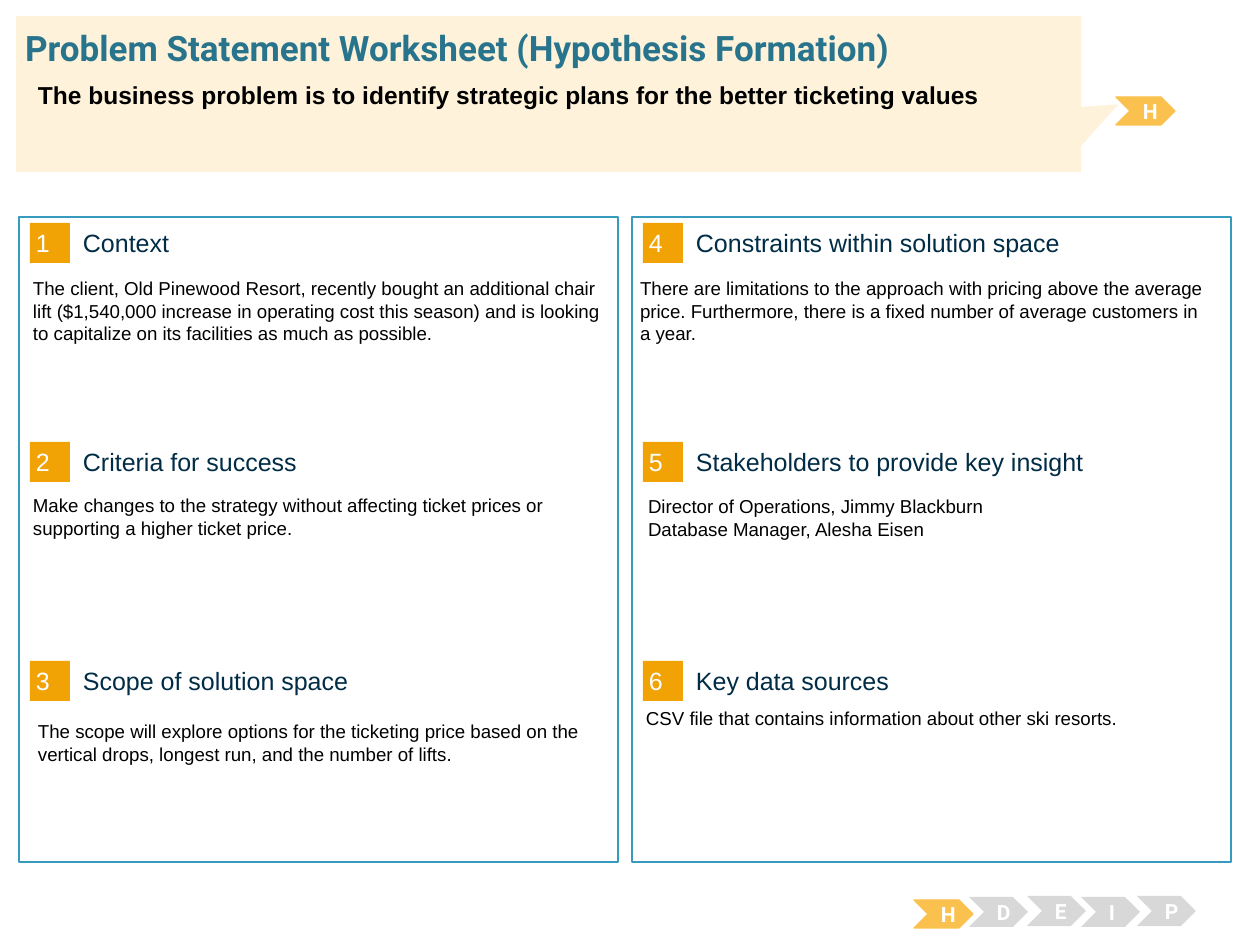
from pptx import Presentation
from pptx.dml.color import RGBColor
from pptx.enum.shapes import MSO_SHAPE as Shape
from pptx.enum.text import MSO_ANCHOR as Anchor, PP_ALIGN as Align
from pptx.util import Emu, Pt

SCALE = 914400 / 126
COLORS = {
    "white": "FFFFFF", "black": "000000", "frame": "379BBD",
    "badge": "F1A205", "heading": "002C46", "active": "FBC14E",
    "inactive": "D8D8D8", "callout": "FEF2DA", "title": "29748D",
}


def add_block(kind, area, fill=None, line=None, weight=1):
    left, top, width, height = [Emu(round(value * SCALE)) for value in area]
    if kind is None:
        return slide.shapes.add_textbox(left, top, width, height)
    block = slide.shapes.add_shape(kind, left, top, width, height)
    block.shadow.inherit = False
    block.fill.solid()
    block.fill.fore_color.rgb = RGBColor.from_string(COLORS[fill])
    if line:
        block.line.color.rgb = RGBColor.from_string(COLORS[line])
        block.line.width = Pt(weight)
    else:
        block.line.fill.background()
    return block


def write(block, text, size, color, font="Arial", bold=False,
          anchor=Anchor.TOP, align=Align.LEFT, insets=(13, 6)):
    frame = block.text_frame
    frame.word_wrap = True
    frame.vertical_anchor = anchor
    frame.margin_left = frame.margin_right = Emu(round(insets[0] * SCALE))
    frame.margin_top = frame.margin_bottom = Emu(round(insets[1] * SCALE))
    frame.text = text
    for para in frame.paragraphs:
        para.alignment = align
        para.font.name = font
        para.font.size = Pt(size)
        para.font.bold = bold
        para.font.color.rgb = RGBColor.from_string(COLORS[color])


deck = Presentation()
deck.slide_width = Emu(round(1260 * SCALE))
deck.slide_height = Emu(round(945 * SCALE))
slide = deck.slides.add_slide(deck.slide_layouts[5])

COLUMN_STEP, ROW_STEP = 613, 219
for column in range(2):
    add_block(Shape.RECTANGLE, (19 + column * COLUMN_STEP, 217, 599, 645),
              "white", "frame", 1.5)

sections = [
    ("Context", (20, 271),
     "The client, Old Pinewood Resort, recently bought an additional chair lift "
     "($1,540,000 increase in operating cost this season) and is looking to "
     "capitalize on its facilities as much as possible."),
    ("Criteria for success", (20, 488),
     "Make changes to the strategy without affecting ticket prices or "
     "supporting a higher ticket price."),
    ("Scope of solution space", (25, 714),
     "The scope will explore options for the ticketing price based on the "
     "vertical drops, longest run, and the number of lifts."),
    ("Constraints within solution space", (627, 271),
     "There are limitations to the approach with pricing above the average "
     "price. Furthermore, there is a fixed number of average customers in a year."),
    ("Stakeholders to provide key insight", (635, 489),
     "Director of Operations, Jimmy Blackburn\nDatabase Manager, Alesha Eisen"),
    ("Key data sources", (633, 701),
     "CSV file that contains information about other ski resorts."),
]
for index, (heading, (body_left, body_top), body) in enumerate(sections):
    column, row = divmod(index, 3)
    left, top = 30 + column * COLUMN_STEP, 223 + row * ROW_STEP
    badge = add_block(Shape.RECTANGLE, (left, top, 40, 40), "badge")
    write(badge, str(index + 1), 14.3, "white", anchor=Anchor.MIDDLE, insets=(6, 6))
    heading_box = add_block(None, (left + 53, top + 4, 495, 31))
    write(heading_box, heading, 14.3, "heading", anchor=Anchor.MIDDLE, insets=(0, 0))
    body_box = add_block(None, (body_left, body_top, 596, 146))
    write(body_box, body, 10.7, "black")

chevrons = [
    ("H", 914, 900, True), ("D", 969, 897, False), ("E", 1027, 896, False),
    ("I", 1081, 897, False), ("P", 1137, 896, False), ("H", 1116, 97, True),
]
for letter, left, top, active in chevrons:
    if active:
        chevron = add_block(Shape.CHEVRON, (left, top, 59, 28), "active", "active", 0.75)
    else:
        chevron = add_block(Shape.CHEVRON, (left, top, 59, 30), "inactive")
    write(chevron, letter, 12, "white", "Roboto", True, Anchor.MIDDLE, Align.CENTER)

callout = add_block(Shape.RECTANGULAR_CALLOUT, (16, 16, 1065, 156), "callout")
callout.adjustments[0] = 0.535
callout.adjustments[1] = 0.066

title = slide.shapes.title
title.left, title.top, title.width, title.height = [
    Emu(round(value * SCALE)) for value in (25, 26, 1212, 43)]
write(title, "Problem Statement Worksheet (Hypothesis Formation)", 20, "title",
      "Roboto", True, Anchor.MIDDLE, insets=(0, 0))
slide.shapes.element.append(title.element)

problem = add_block(None, (25, 74, 1183, 68))
write(problem, "The business problem is to identify strategic plans for the "
      "better ticketing values", 14, "black", bold=True)

deck.save("out.pptx")
